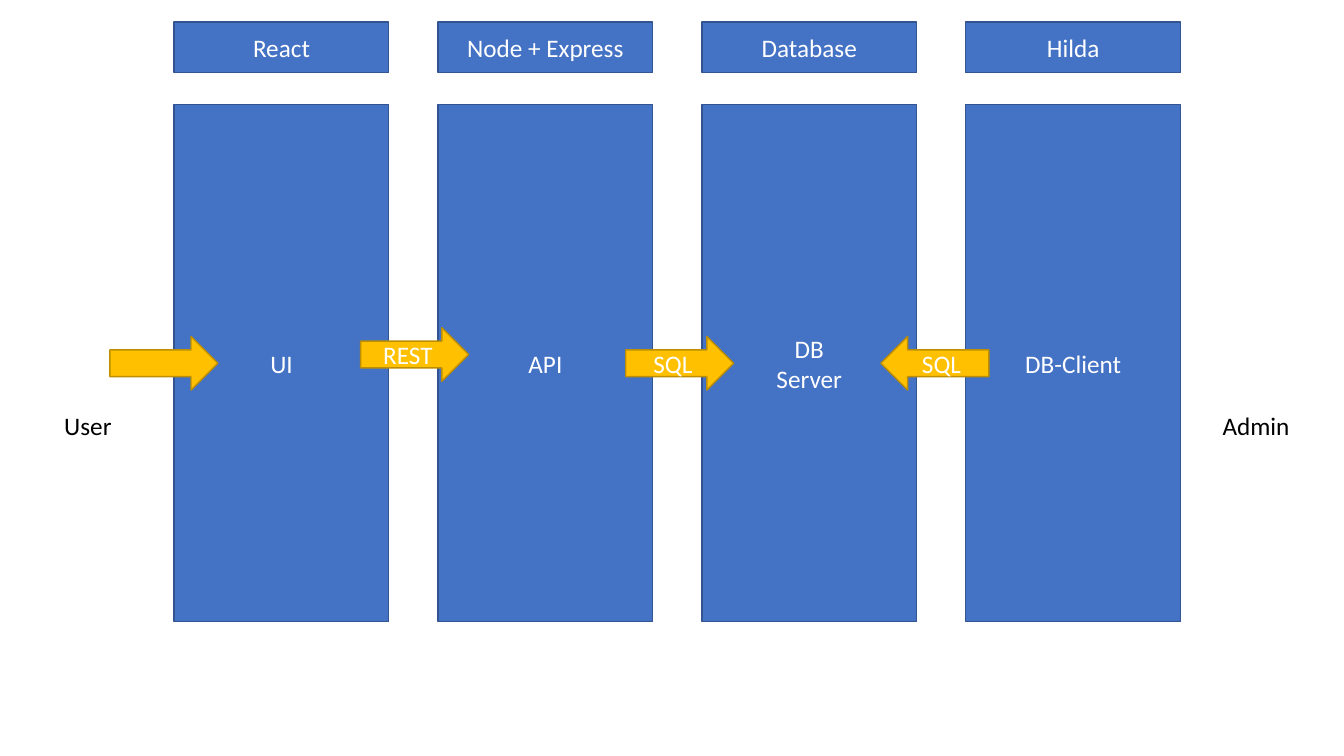
from pptx import Presentation
from pptx.dml.color import RGBColor
from pptx.enum.shapes import MSO_SHAPE
from pptx.enum.text import MSO_ANCHOR, MSO_AUTO_SIZE, PP_ALIGN
from pptx.util import Cm, Pt

RECT, RIGHT, LEFT = MSO_SHAPE.RECTANGLE, MSO_SHAPE.RIGHT_ARROW, MSO_SHAPE.LEFT_ARROW
MIDDLE, CENTER = MSO_ANCHOR.MIDDLE, PP_ALIGN.CENTER
FIT_TEXT = MSO_AUTO_SIZE.SHAPE_TO_FIT_TEXT
BLANK = 6

COLORS = {
    "tier": "4472C4", "tier_line": "325491",
    "arrow": "FFC000", "arrow_line": "BD8E00",
    "light": "FFFFFF", "dark": "000000",
}
FONT = {"name": "Calibri", "size": Pt(18)}

# Technology heading and role of each tier, left to right
TIERS = [
    ("React", "UI"),
    ("Node + Express", "API"),
    ("Database", "DB\nServer"),
    ("Hilda", "DB-Client"),
]
TIER_LEFT, TIER_STEP, TIER_WIDTH = 4.39, 6.65, 5.41
HEADING_TOP, HEADING_HEIGHT = 0.56, 1.27
TIER_TOP, TIER_HEIGHT = 2.64, 13.03

# Direction, left, top and label of each call between tiers
ARROW_SIZE = (2.72, 1.35)
ARROWS = [
    (RIGHT, 9.09, 8.26, "REST"),
    (RIGHT, 2.77, 8.48, ""),
    (RIGHT, 15.77, 8.48, "SQL"),
    (LEFT, 22.2, 8.48, "SQL"),
]

# Person, left and width
ACTORS = [("Admin", 30.56, 2.21), ("User", 1.37, 1.73)]
ACTOR_TOP, ACTOR_HEIGHT = 10.21, 1.02


def rgb(key):
    """Return the named colour."""
    return RGBColor.from_string(COLORS[key])


class Deck:
    """Holds the text style and the current slide."""

    def __init__(self, s, font):
        self.s = s
        self.font = font

    def add_text(self, tf, text, color, align=None):
        """Add one paragraph per line of text."""
        for i, line in enumerate(text.split("\n")):
            p = tf.add_paragraph() if i else tf.paragraphs[0]
            p.alignment = align
            r = p.add_run()
            r.text = line
            for name, value in self.font.items():
                setattr(r.font, name, value)
            r.font.color.rgb = rgb(color)

    def shape(self, kind, box, color, text):
        """Add a filled, outlined shape with centred text."""
        sp = self.s.shapes.add_shape(kind, *map(Cm, box))
        sp.shadow.inherit = False
        sp.fill.solid()
        sp.fill.fore_color.rgb = rgb(color)
        sp.line.color.rgb = rgb(color + "_line")
        sp.line.width = Pt(1)
        sp.text_frame.vertical_anchor = MIDDLE
        if text:
            self.add_text(sp.text_frame, text, "light", CENTER)

    def label(self, box, text):
        """Add an unwrapped text box that fits its text."""
        tf = self.s.shapes.add_textbox(*map(Cm, box)).text_frame
        tf.word_wrap = False
        tf.auto_size = FIT_TEXT
        self.add_text(tf, text, "dark")

    def tier_row(self, top, height, texts):
        """Add one box per tier, evenly spaced."""
        for i, text in enumerate(texts):
            left = TIER_LEFT + i * TIER_STEP
            self.shape(RECT, (left, top, TIER_WIDTH, height), "tier", text)


prs = Presentation()
prs.slide_width, prs.slide_height = Cm(33.87), Cm(19.05)
deck = Deck(prs.slides.add_slide(prs.slide_layouts[BLANK]), FONT)

headings, roles = zip(*TIERS)
deck.tier_row(TIER_TOP, TIER_HEIGHT, roles)
for actor, left, width in ACTORS:
    deck.label((left, ACTOR_TOP, width, ACTOR_HEIGHT), actor)
for kind, left, top, call in ARROWS:
    deck.shape(kind, (left, top, *ARROW_SIZE), "arrow", call)
deck.tier_row(HEADING_TOP, HEADING_HEIGHT, headings)

prs.save("out.pptx")
